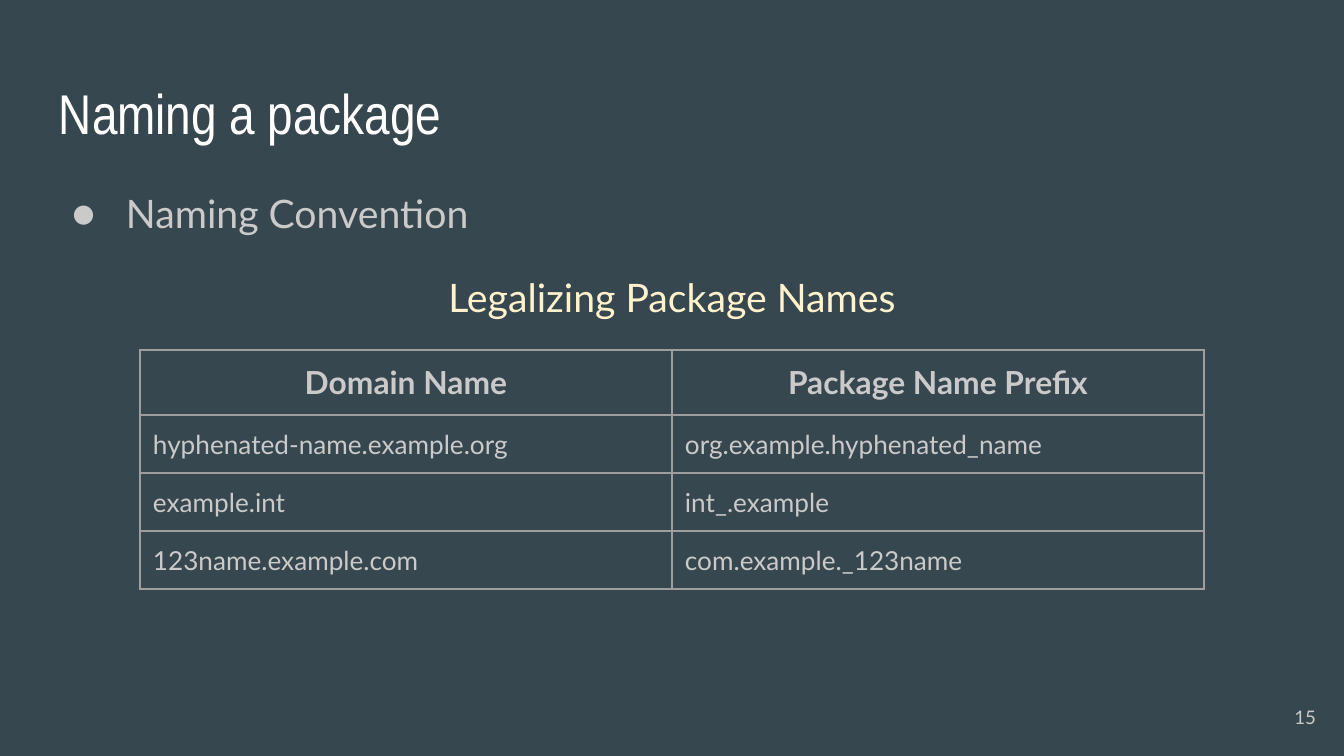
from lxml import etree
from pptx import Presentation
from pptx.dml.color import RGBColor
from pptx.enum.text import MSO_ANCHOR, PP_ALIGN
from pptx.oxml.ns import qn
from pptx.util import Pt

LEFT, CENTER, RIGHT = PP_ALIGN.LEFT, PP_ALIGN.CENTER, PP_ALIGN.RIGHT
TOP, MIDDLE = MSO_ANCHOR.TOP, MSO_ANCHOR.MIDDLE
EMU_PER_PX = 914400 / 134.4
COLORS = {"background": "37474F", "title": "FFFFFF", "text": "CACACA",
          "caption": "FFF2CC", "border": "9E9E9E"}
TITLE_FONT, BODY_FONT = "Arial Narrow", "Lato"
INSET = 13


def px(length):
    return round(length * EMU_PER_PX)


class SlideBuilder:
    def __init__(self, width, height):
        self.deck = Presentation()
        self.deck.slide_width, self.deck.slide_height = px(width), px(height)
        self.slide = self.deck.slides.add_slide(self.deck.slide_layouts[6])
        fill = self.slide.background.fill
        fill.solid()
        fill.fore_color.rgb = RGBColor.from_string(COLORS["background"])

    def text_box(self, left, top, width, height, anchor=TOP):
        box = self.slide.shapes.add_textbox(*map(px, (left, top, width, height)))
        frame = box.text_frame
        frame.word_wrap = True
        frame.vertical_anchor = anchor
        frame.margin_left = frame.margin_right = px(INSET)
        frame.margin_top = frame.margin_bottom = px(INSET)
        return frame

    def add_text(self, paragraph, text, size, color="text", font=BODY_FONT,
                 align=LEFT, bold=False):
        paragraph.alignment = align
        run = paragraph.add_run()
        run.text = text
        run.font.size, run.font.name, run.font.bold = Pt(size), font, bold
        run.font.color.rgb = RGBColor.from_string(COLORS[color])

    def bullet(self, paragraph, margin, hanging):
        props = paragraph._p.get_or_add_pPr()
        props.set("marL", str(px(margin)))
        props.set("indent", str(-px(hanging)))
        color = etree.SubElement(props, qn("a:buClr"))
        etree.SubElement(color, qn("a:srgbClr"), val=COLORS["text"])
        etree.SubElement(props, qn("a:buFont"), typeface=BODY_FONT)
        etree.SubElement(props, qn("a:buChar"), char="●")

    def border(self, cell):
        props = cell._tc.get_or_add_tcPr()
        for side in ("a:lnL", "a:lnR", "a:lnT", "a:lnB"):
            line = etree.SubElement(props, qn(side), w=str(Pt(0.75)))
            fill = etree.SubElement(line, qn("a:solidFill"))
            etree.SubElement(fill, qn("a:srgbClr"), val=COLORS["border"])

    def table(self, left, top, column_width, row_heights, rows):
        columns = len(rows[0])
        grid = self.slide.shapes.add_table(
            len(rows), columns, px(left), px(top),
            px(column_width * columns), px(sum(row_heights))).table
        grid.first_row = grid.horz_banding = False
        for column in grid.columns:
            column.width = px(column_width)
        for r, (height, texts) in enumerate(zip(row_heights, rows)):
            grid.rows[r].height = px(height)
            header = r == 0
            for c, text in enumerate(texts):
                cell = grid.cell(r, c)
                cell.vertical_anchor = MIDDLE
                cell.margin_left = cell.margin_right = px(INSET)
                cell.margin_top = cell.margin_bottom = px(INSET)
                self.border(cell)
                cell.fill.background()
                self.add_text(cell.text_frame.paragraphs[0], text,
                              17 if header else 14,
                              align=CENTER if header else LEFT, bold=header)


def main():
    page = SlideBuilder(1344, 756)

    # Title
    title = page.text_box(46, 66, 1252, 85)
    page.add_text(title.paragraphs[0], "Naming a package", 30, "title", TITLE_FONT)

    # Bullet and table caption
    body = page.text_box(46, 169, 1252, 503)
    convention = body.paragraphs[0]
    convention.line_spacing = 1.15
    page.bullet(convention, 67, 54)
    page.add_text(convention, "Naming Convention", 21)
    caption = body.add_paragraph()
    caption.line_spacing = 1.15
    caption.space_before = Pt(16)
    page.add_text(caption, "Legalizing Package Names", 21, "caption", align=CENTER)

    # Naming table
    page.table(140, 350, 532, [65, 58, 58, 58], [
        ("Domain Name", "Package Name Prefix"),
        ("hyphenated-name.example.org", "org.example.hyphenated_name"),
        ("example.int", "int_.example"),
        ("123name.example.com", "com.example._123name"),
    ])

    # Page number
    number = page.text_box(1248, 688, 81, 58, MIDDLE)
    page.add_text(number.paragraphs[0], "15", 10, align=RIGHT)

    page.deck.save("out.pptx")


if __name__ == "__main__":
    main()
